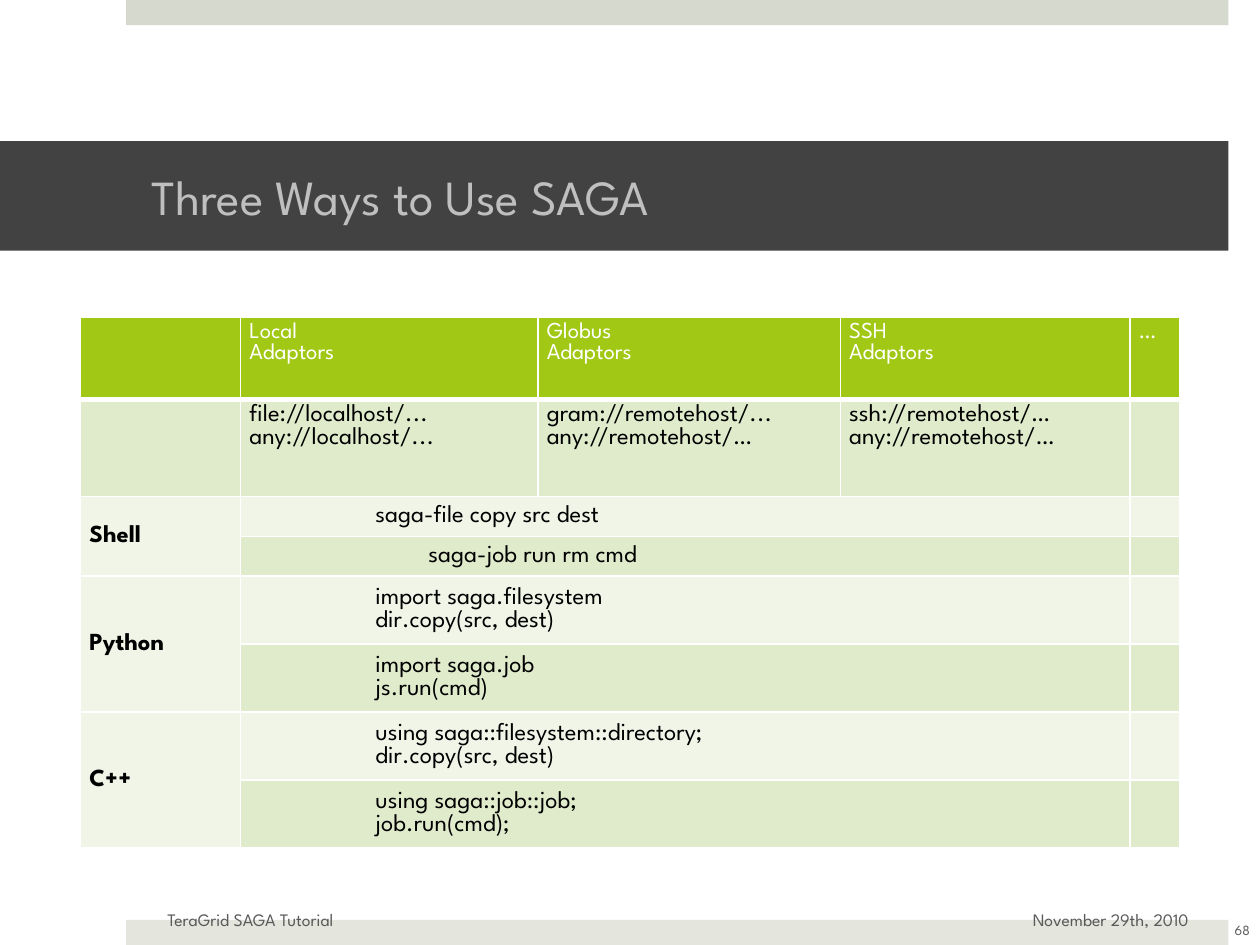
from dataclasses import dataclass

from lxml import etree
from pptx import Presentation
from pptx import util as u
from pptx.dml.color import RGBColor
from pptx.enum import shapes, text
from pptx.oxml.ns import qn

FONT = "League Spartan"
HUES = {
    "top": "D6D9CD", "foot": "E4E6DE", "bar": "424242", "title": "BFBFBF",
    "note": "595959", "head": "A2C816", "dark": "E0EBCC", "light": "F0F5E8",
    "white": "FFFFFF", "black": "000000",
}
COLS = [1.27, 2.36, 2.4, 2.3, 0.39]
ROWS = [0.65, 0.77, 0.3, 0.3, 0.54, 0.54, 0.54, 0.54]
HEADS = ["", "Local\nAdaptors", "Globus\nAdaptors", "SSH\nAdaptors", "…"]
URLS = [
    "",
    "file://localhost/...\nany://localhost/...",
    "gram://remotehost/...\nany://remotehost/…",
    "ssh://remotehost/…\nany://remotehost/…",
    "",
]


@dataclass
class Lang:
    name: str
    copy: str
    job: str
    job_tab: float = 1.0


@dataclass
class Note:
    words: str
    box: tuple
    size: int
    align: text.PP_ALIGN


LANGS = [
    Lang("Shell", "saga-file copy src dest", "saga-job run rm cmd", 1.42),
    Lang("Python", "import saga.filesystem\ndir.copy(src, dest)",
         "import saga.job\njs.run(cmd)"),
    Lang("C++", "using saga::filesystem::directory;\ndir.copy(src, dest)",
         "using saga::job::job;\njob.run(cmd);"),
]
NOTES = [
    Note("TeraGrid SAGA Tutorial", (1.23, 7.1, 3.17, 0.4), 10, text.PP_ALIGN.LEFT),
    Note("November 29th, 2010", (7.2, 7.1, 2.33, 0.4), 10, text.PP_ALIGN.RIGHT),
    Note("68", (9.61, 7.18, 0.5, 0.4), 8, text.PP_ALIGN.CENTER),
]


def hue(key: str) -> RGBColor:
    return RGBColor.from_string(HUES[key])


def inches(box: tuple) -> list:
    return [u.Inches(n) for n in box]


def paint(shape, key: str) -> None:
    shape.fill.solid()
    shape.fill.fore_color.rgb = hue(key)


def add_run(para, words: str, size: int, key: str, bold: bool = False) -> None:
    run = para.add_run()
    run.text = words
    run.font.name = FONT
    run.font.size = u.Pt(size)
    run.font.bold = bold
    run.font.color.rgb = hue(key)


def add_band(slide, top: float, key: str) -> None:
    band = slide.shapes.add_shape(
        shapes.MSO_SHAPE.RECTANGLE, *inches((1, top, 8.75, 0.2)))
    band.shadow.inherit = False
    paint(band, key)
    band.line.fill.background()


def add_title(slide) -> None:
    title = slide.shapes.title
    title.left, title.top, title.width, title.height = inches((0, 1.12, 9.75, 0.87))
    paint(title, "bar")
    frame = title.text_frame
    frame.margin_left, frame.margin_right = u.Inches(1.2), u.Inches(0.3)
    frame.vertical_anchor = text.MSO_ANCHOR.MIDDLE
    frame.paragraphs[0].alignment = text.PP_ALIGN.LEFT
    add_run(frame.paragraphs[0], "Three Ways to Use SAGA", 28, "title")


def add_note(slide, note: Note) -> None:
    frame = slide.shapes.add_textbox(*inches(note.box)).text_frame
    frame.word_wrap = True
    frame.vertical_anchor = text.MSO_ANCHOR.MIDDLE
    frame.paragraphs[0].alignment = note.align
    add_run(frame.paragraphs[0], note.words, note.size, "note")


def add_edges(cell, base: float) -> None:
    """White borders, placed before the fill as the schema asks."""
    props = cell._tc.get_or_add_tcPr()
    for spot, side in enumerate("LRTB"):
        width = base if side == "B" else 1
        line = etree.Element(qn(f"a:ln{side}"), w=str(u.Pt(width)))
        solid = etree.SubElement(line, qn("a:solidFill"))
        etree.SubElement(solid, qn("a:srgbClr"), val=HUES["white"])
        props.insert(spot, line)


def add_tab(para, stop: float) -> None:
    tabs = etree.SubElement(para._p.get_or_add_pPr(), qn("a:tabLst"))
    etree.SubElement(tabs, qn("a:tab"), pos=str(u.Inches(stop)), algn="l")


def style_cell(cell, key: str, base: float = 1) -> None:
    paint(cell, key)
    add_edges(cell, base)
    cell.margin_left = cell.margin_right = u.Inches(0.07)
    cell.margin_top = cell.margin_bottom = u.Inches(0.04)


def fill_cell(cell, words: str, size: int = 14, key: str = "black",
              bold: bool = False, tab: float = 0) -> None:
    frame = cell.text_frame
    for spot, line in enumerate(words.split("\n")):
        para = frame.add_paragraph() if spot else frame.paragraphs[0]
        if tab:
            add_tab(para, tab)
        if line:
            add_run(para, "\t" + line if tab else line, size, key, bold)
        else:
            etree.SubElement(para._p, qn("a:endParaRPr"), sz=str(size * 100))


def add_grid(slide) -> None:
    grid = slide.shapes.add_table(
        len(ROWS), len(COLS), *inches((0.64, 2.52, sum(COLS), sum(ROWS)))).table
    for col, width in zip(grid.columns, COLS):
        col.width = u.Inches(width)
    for row, height in zip(grid.rows, ROWS):
        row.height = u.Inches(height)

    for col, (head, url) in enumerate(zip(HEADS, URLS)):
        style_cell(grid.cell(0, col), "head", 3)
        fill_cell(grid.cell(0, col), head, 13, "white")
        style_cell(grid.cell(1, col), "dark")
        fill_cell(grid.cell(1, col), url)

    for spot, lang in enumerate(LANGS):
        top = 2 + 2 * spot
        lines = [(lang.copy, "light", 1.0), (lang.job, "dark", lang.job_tab)]
        for row, (code, key, tab) in enumerate(lines, top):
            for col in range(len(COLS)):
                cell = grid.cell(row, col)
                style_cell(cell, key if col else "light")
                cell.vertical_anchor = text.MSO_ANCHOR.MIDDLE
                if col == 1:
                    fill_cell(cell, code, tab=tab)
                elif col == 0 and row == top:
                    fill_cell(cell, lang.name, bold=True)
                else:
                    fill_cell(cell, "")
            grid.cell(row, 1).merge(grid.cell(row, 3))
        grid.cell(top, 0).merge(grid.cell(top + 1, 0))


def main() -> None:
    deck = Presentation()
    deck.slide_width, deck.slide_height = u.Inches(10), u.Inches(7.5)
    slide = deck.slides.add_slide(deck.slide_layouts.get_by_name("Title Only"))
    add_band(slide, 0, "top")
    add_band(slide, 7.3, "foot")
    add_title(slide)
    add_grid(slide)
    for note in NOTES:
        add_note(slide, note)
    deck.save("out.pptx")


if __name__ == "__main__":
    main()
